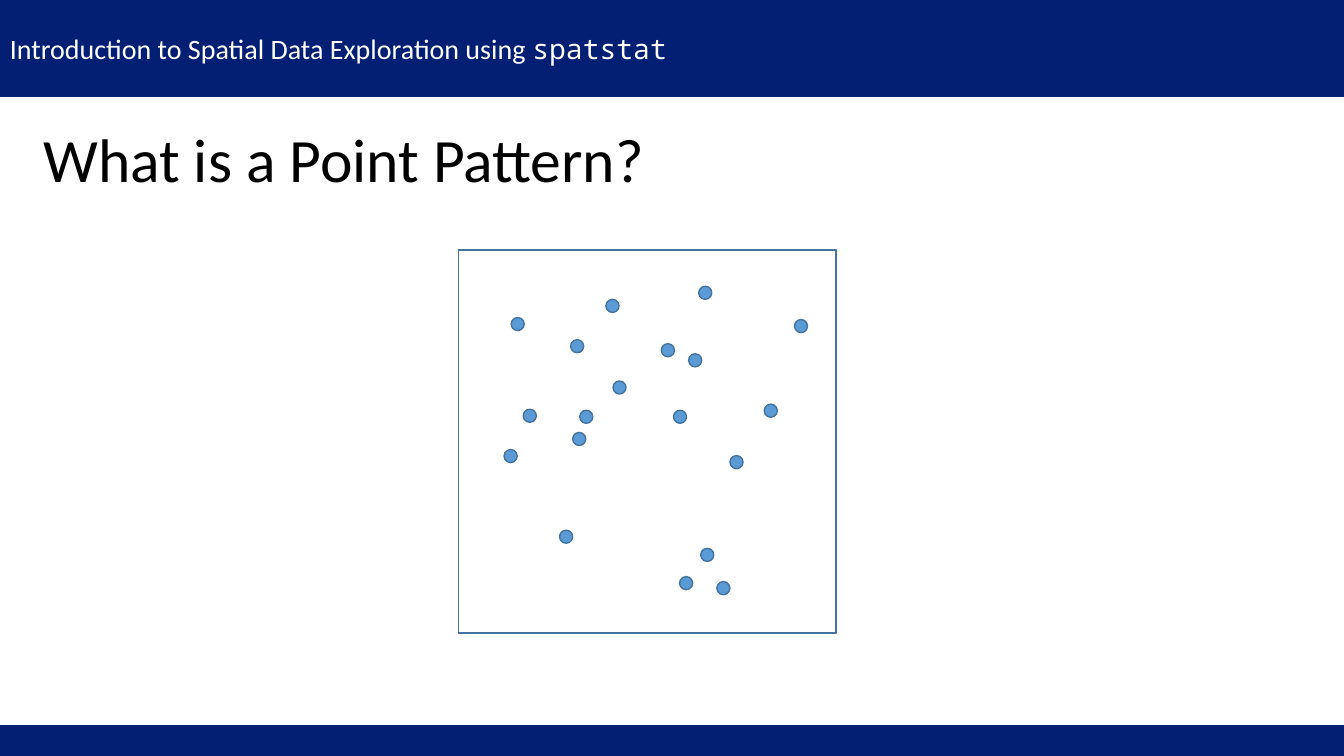
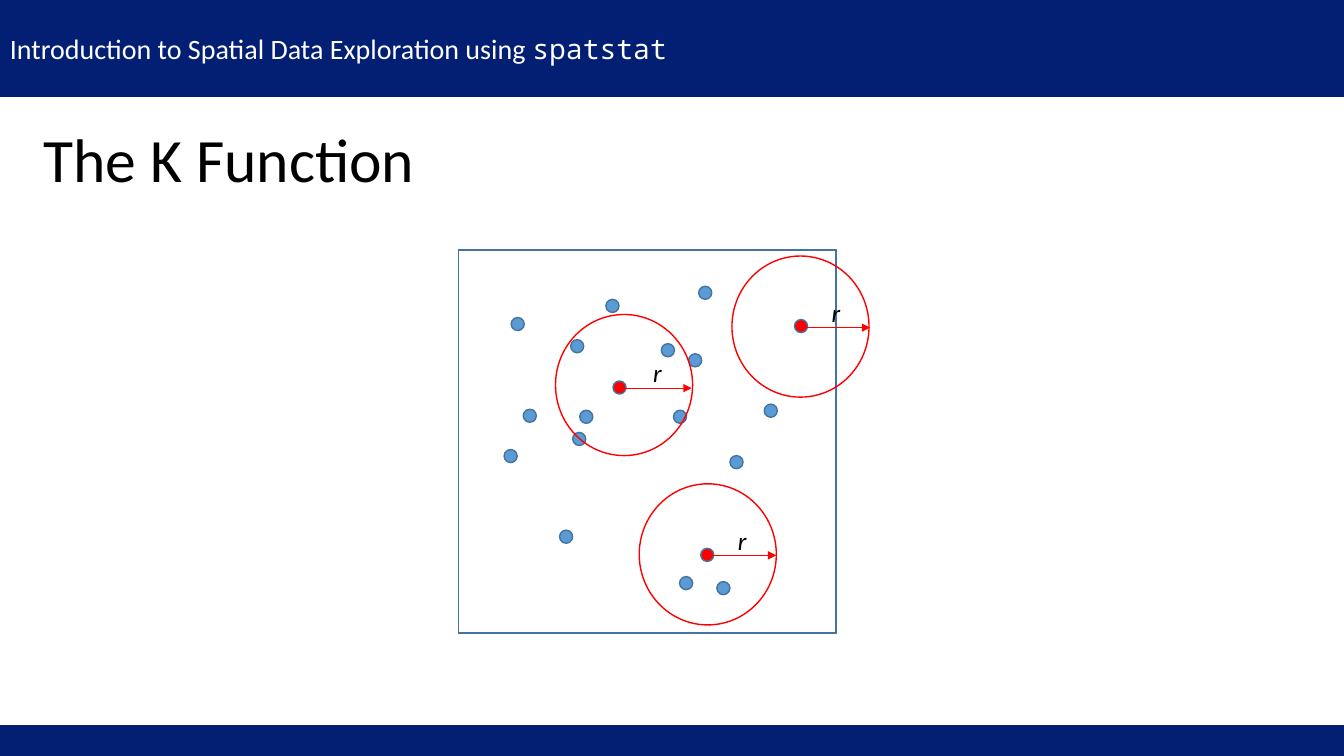
from pptx import Presentation
from pptx.dml.color import RGBColor
from pptx.enum.shapes import MSO_CONNECTOR, MSO_SHAPE
from pptx.enum.text import MSO_ANCHOR, MSO_AUTO_SIZE, PP_ALIGN
from pptx.oxml.ns import qn
from pptx.util import Inches, Pt
from lxml import etree

RECTANGLE, FRAME, OVAL = MSO_SHAPE.RECTANGLE, MSO_SHAPE.FRAME, MSO_SHAPE.OVAL
STRAIGHT = MSO_CONNECTOR.STRAIGHT
MIDDLE, LEFT = MSO_ANCHOR.MIDDLE, PP_ALIGN.LEFT
NO_AUTOFIT, GROW = MSO_AUTO_SIZE.NONE, MSO_AUTO_SIZE.SHAPE_TO_FIT_TEXT

NAVY = RGBColor(0x03, 0x1F, 0x73)
BLUE = RGBColor(0x5B, 0x9B, 0xD5)
DARK_BLUE = RGBColor(0x43, 0x73, 0x9E)
RED = RGBColor(0xFF, 0x00, 0x00)
WHITE = RGBColor(0xFF, 0xFF, 0xFF)
BLACK = RGBColor(0x00, 0x00, 0x00)

SLIDE_WIDTH, SLIDE_HEIGHT = 13.33, 7.5
HEADER_HEIGHT, FOOTER_HEIGHT = 0.96, 0.3
DOT_SIZE = 0.13
CIRCLE_WIDTH, CIRCLE_HEIGHT = 1.36, 1.4

TITLE_FORMAT = {"name": "Calibri", "size": Pt(44), "color": BLACK}
HEADER_FORMAT = {"name": "Calibri", "size": Pt(20), "color": WHITE}
CODE_FORMAT = {**HEADER_FORMAT, "name": "Noto Sans Mono"}
RADIUS_FORMAT = {"name": "Calibri", "size": Pt(18), "color": BLACK, "italic": True}

POINTS = [
    (6.93, 2.84), (5.07, 3.15), (5.66, 3.37), (6.56, 3.41), (5.68, 4.29),
    (6.68, 4.07), (6.83, 3.51), (6.74, 5.72), (7.11, 5.77), (7.24, 4.52),
    (5.55, 5.26), (5, 4.46), (6.01, 2.97), (7.58, 4.01), (5.75, 4.07),
    (5.19, 4.06),
]
FOCAL_POINTS = [(6.95, 5.44), (7.88, 3.17), (6.08, 3.78)]
CIRCLE_CORNERS = [(6.34, 4.8), (7.26, 2.54), (5.51, 3.12)]
ARROW_STARTS = [(7.02, 5.51), (7.95, 3.25), (6.18, 3.85)]


class PointPatternDeck:
    """Holds the presentation, its style and the current slide."""

    def __init__(self):
        self.presentation = Presentation()
        self.presentation.slide_width = Inches(SLIDE_WIDTH)
        self.presentation.slide_height = Inches(SLIDE_HEIGHT)
        self.slide = None

    def add_slide(self, title):
        """Start a slide with its title and the shared bands."""
        layout = self.presentation.slide_layouts.get_by_name("Title Only")
        self.slide = self.presentation.slides.add_slide(layout)
        self.title(title)
        header = self.band(0, HEADER_HEIGHT)
        paragraph = header.text_frame.paragraphs[0]
        paragraph.alignment = LEFT
        self.run(paragraph, "Introduction to Spatial Data Exploration using ", HEADER_FORMAT)
        self.run(paragraph, "spatstat", CODE_FORMAT)
        self.band(SLIDE_HEIGHT - FOOTER_HEIGHT, FOOTER_HEIGHT)

    def title(self, text):
        """Place and format the title placeholder."""
        shape = self.slide.shapes.title
        shape.left, shape.top = Inches(0.33), Inches(0.96)
        shape.width, shape.height = Inches(11.5), Inches(1.31)
        frame = shape.text_frame
        frame.vertical_anchor = MIDDLE
        frame.auto_size = NO_AUTOFIT
        paragraph = frame.paragraphs[0]
        paragraph.alignment = LEFT
        paragraph.line_spacing = 0.9
        self.run(paragraph, text, TITLE_FORMAT)

    def run(self, paragraph, text, text_format):
        """Add a run with the given font values."""
        run = paragraph.add_run()
        run.text = text
        for name, value in text_format.items():
            if name == "color":
                run.font.color.rgb = value
            else:
                setattr(run.font, name, value)

    def shape(self, kind, left, top, width, height, fill, line):
        """Add a preset shape, unfilled when fill is None."""
        shape = self.slide.shapes.add_shape(
            kind, Inches(left), Inches(top), Inches(width), Inches(height))
        shape.shadow.inherit = False
        if fill is None:
            shape.fill.background()
        else:
            shape.fill.solid()
            shape.fill.fore_color.rgb = fill
        shape.line.color.rgb = line
        shape.line.width = Pt(1)
        shape.text_frame.vertical_anchor = MIDDLE
        return shape

    def band(self, top, height):
        """Add a full-width navy band."""
        return self.shape(RECTANGLE, 0, top, SLIDE_WIDTH, height, NAVY, NAVY)

    def window(self):
        """Add the outline of the observation window."""
        frame = self.shape(FRAME, 4.55, 2.48, 3.74, 3.8, BLUE, DARK_BLUE)
        frame.adjustments[0] = 0

    def dot(self, left, top, fill=BLUE):
        """Add one point of the pattern."""
        self.shape(OVAL, left, top, DOT_SIZE, DOT_SIZE, fill, DARK_BLUE)

    def arrow(self, left, top, length):
        """Add a thin red arrow pointing right."""
        connector = self.slide.shapes.add_connector(
            STRAIGHT, Inches(left), Inches(top), Inches(left + length), Inches(top))
        connector.line.color.rgb = RED
        connector.line.width = Pt(0.5)
        etree.SubElement(connector.line._get_or_add_ln(), qn("a:tailEnd"), type="triangle")
        etree.SubElement(connector._element.spPr, qn("a:effectLst"))

    def radius_label(self, left, top):
        """Add the italic letter above a radius arrow."""
        box = self.slide.shapes.add_textbox(
            Inches(left), Inches(top), Inches(0.29), Inches(0.4))
        box.text_frame.word_wrap = False
        box.text_frame.auto_size = GROW
        self.run(box.text_frame.paragraphs[0], "r", RADIUS_FORMAT)

    def neighbourhood(self, point, corner, start):
        """Add a focal point with its circle, radius arrow and label."""
        self.dot(*point, fill=RED)
        self.shape(OVAL, *corner, CIRCLE_WIDTH, CIRCLE_HEIGHT, None, RED)
        self.arrow(*start, CIRCLE_WIDTH / 2)
        self.radius_label(start[0] + 0.2, start[1] - 0.35)

    def pattern(self, points):
        """Add the window and its points."""
        self.window()
        for point in points:
            self.dot(*point)


def main():
    """Build and save both slides."""
    deck = PointPatternDeck()
    deck.add_slide("What is a Point Pattern?")
    deck.pattern(POINTS + FOCAL_POINTS)

    deck.add_slide("The K Function")
    deck.pattern(POINTS)
    for point, corner, start in zip(FOCAL_POINTS, CIRCLE_CORNERS, ARROW_STARTS):
        deck.neighbourhood(point, corner, start)
    deck.presentation.save("out.pptx")


if __name__ == "__main__":
    main()
